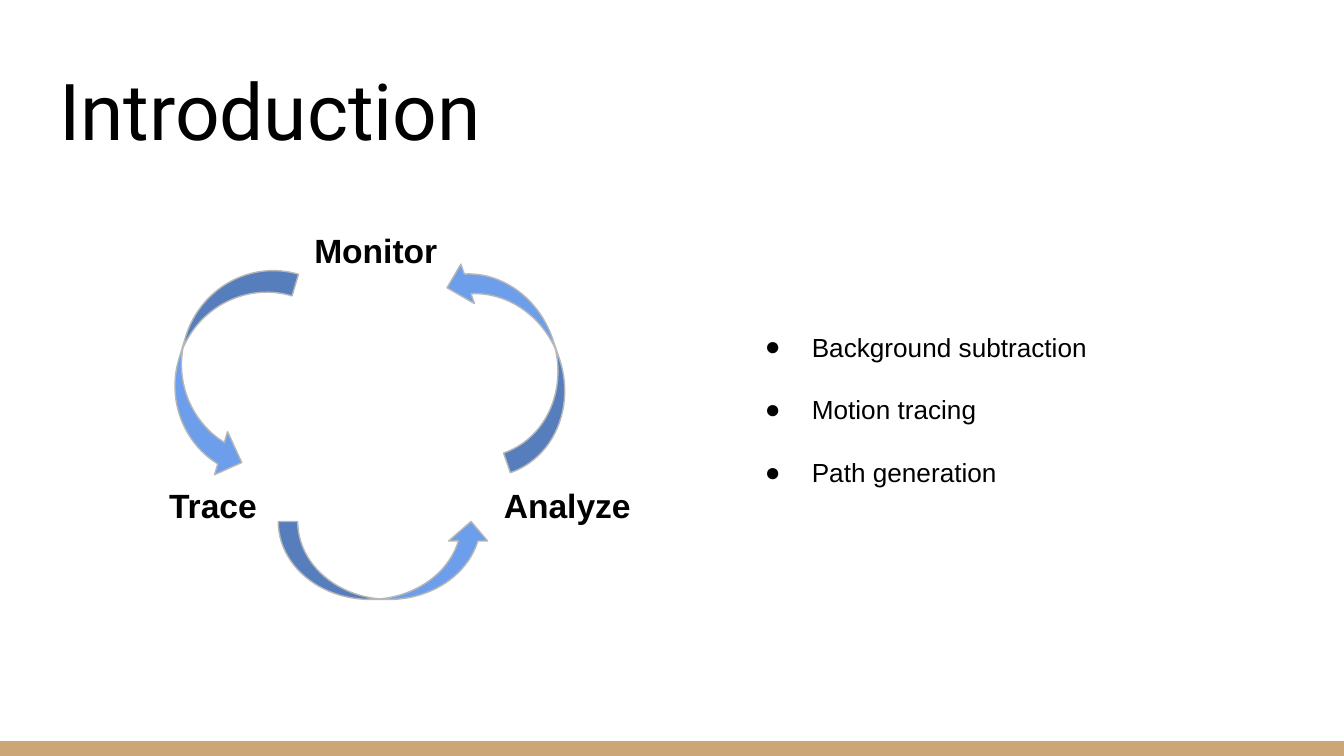
from dataclasses import dataclass

from lxml import etree
from pptx import Presentation
from pptx.dml.color import RGBColor
from pptx.enum.shapes import MSO_SHAPE
from pptx.enum.text import MSO_ANCHOR, MSO_AUTO_SIZE, PP_ALIGN
from pptx.oxml.ns import qn
from pptx.util import Inches, Pt

RECT = MSO_SHAPE.RECTANGLE
CURVED_RIGHT = MSO_SHAPE.CURVED_RIGHT_ARROW
CURVED_LEFT = MSO_SHAPE.CURVED_LEFT_ARROW
TOP, BOTTOM = MSO_ANCHOR.TOP, MSO_ANCHOR.BOTTOM
LEFT = PP_ALIGN.LEFT
NO_AUTOFIT = MSO_AUTO_SIZE.NONE

SLIDE_W = 10
SLIDE_H = SLIDE_W * 9 / 16
BAR_H = 0.11
LABEL_W, LABEL_H = 1.58, 0.72
LOWER_ROW = 3.51
BLACK, TAN, BLUE, GREY = "000000", "CCA677", "6D9EEB", "B7B7B7"


@dataclass
class Label:
    text: str
    left: float
    top: float


@dataclass
class Arrow:
    preset: MSO_SHAPE
    box: tuple[float, float, float, float]
    rotation: float
    flipped: bool = False


LABELS = [
    Label("Monitor", 2.24, 1.61),
    Label("Trace", 1.16, LOWER_ROW),
    Label("Analyze", 3.65, LOWER_ROW),
]
ARROWS = [
    Arrow(CURVED_RIGHT, (1.33, 1.91, 0.67, 1.63), 16.8),
    Arrow(CURVED_LEFT, (3.52, 1.85, 0.62, 1.61), 161.1, flipped=True),
    Arrow(CURVED_RIGHT, (2.57, 3.38, 0.58, 1.58), 270),
]
STEPS = ["Background subtraction", "Motion tracing", "Path generation"]


def rgb(color: str) -> RGBColor:
    return RGBColor.from_string(color)


def place(sp, box: tuple[float, float, float, float]) -> None:
    for name, value in zip(("left", "top", "width", "height"), box):
        setattr(sp, name, Inches(value))


def write(sp, lines: list[str], size: float, font: str = "Arial",
          bold: bool = False, anchor=TOP) -> None:
    tf = sp.text_frame
    frame = {"word_wrap": True, "auto_size": NO_AUTOFIT, "vertical_anchor": anchor}
    frame |= {f"margin_{side}": Inches(0.1) for side in ("left", "top", "right", "bottom")}
    for name, value in frame.items():
        setattr(tf, name, value)
    tf.text = "\n".join(lines)
    for p in tf.paragraphs:
        p.alignment = LEFT
        r = p.runs[0]
        for name, value in {"size": Pt(size), "name": font, "bold": bold}.items():
            setattr(r.font, name, value)
        r.font.color.rgb = rgb(BLACK)


def add_bullet(p) -> None:
    for name, value in {"line_spacing": 2.0, "space_before": Pt(0), "space_after": Pt(0)}.items():
        setattr(p, name, value)
    pPr = p._p.get_or_add_pPr()
    pPr.set("marL", str(Inches(0.5)))
    pPr.set("indent", str(Inches(-0.35)))
    color = etree.SubElement(pPr, qn("a:buClr"))
    etree.SubElement(color, qn("a:srgbClr"), val=BLACK)
    etree.SubElement(pPr, qn("a:buFont"), typeface="Arial")
    etree.SubElement(pPr, qn("a:buChar"), char="●")


def add_filled(shapes, preset, box: tuple[float, float, float, float], fill: str):
    sp = shapes.add_shape(preset, *map(Inches, box))
    sp.shadow.inherit = False
    sp.fill.solid()
    sp.fill.fore_color.rgb = rgb(fill)
    sp.line.fill.background()
    return sp


def add_arrow(shapes, arrow: Arrow) -> None:
    sp = add_filled(shapes, arrow.preset, arrow.box, BLUE)
    sp.line.color.rgb = rgb(GREY)
    sp.line.width = Pt(0.75)
    sp.rotation = arrow.rotation
    for i, value in enumerate((0.25, 0.5, 0.25)):
        sp.adjustments[i] = value
    if arrow.flipped:
        sp._element.spPr.find(qn("a:xfrm")).set("flipH", "1")


def add_label(shapes, label: Label) -> None:
    box = (label.left, label.top, LABEL_W, LABEL_H)
    write(shapes.add_textbox(*map(Inches, box)), [label.text], 18, bold=True)


def main() -> None:
    prs = Presentation()
    prs.slide_width, prs.slide_height = Inches(SLIDE_W), Inches(SLIDE_H)
    s = prs.slides.add_slide(prs.slide_layouts[1])
    title, body = s.placeholders

    add_filled(s.shapes, RECT, (0, SLIDE_H - BAR_H, SLIDE_W, BAR_H), TAN)
    place(title, (0.34, 0.35, 9.32, 0.91))
    write(title, ["Introduction"], 42, font="Roboto", anchor=BOTTOM)

    for label in LABELS:
        add_label(s.shapes, label)
    for arrow in ARROWS:
        add_arrow(s.shapes, arrow)

    place(body, (5.44, 2.13, 4.14, 1.53))
    write(body, STEPS, 14)
    for p in body.text_frame.paragraphs:
        add_bullet(p)

    prs.save("out.pptx")


if __name__ == "__main__":
    main()
